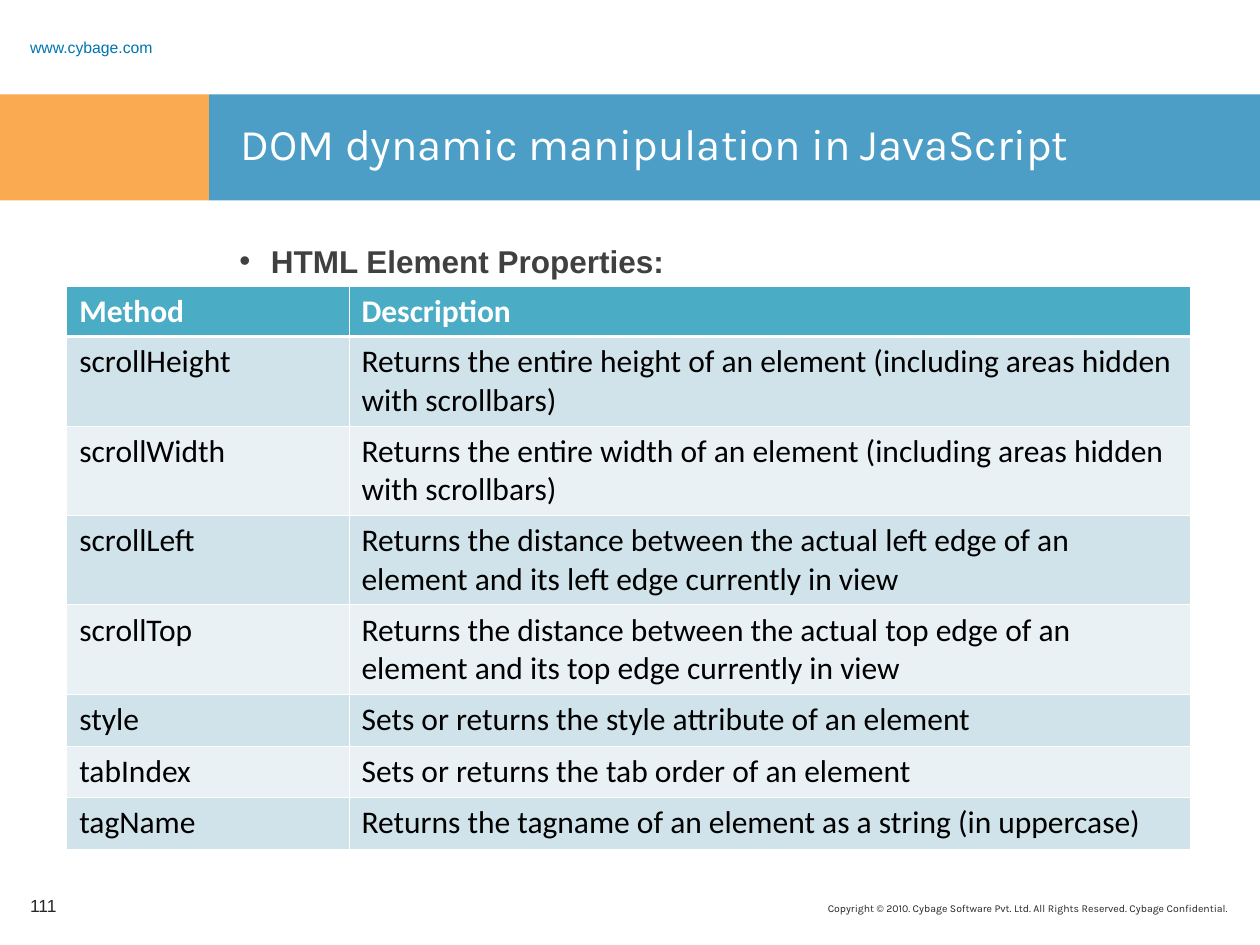
from lxml import etree
from pptx import Presentation
from pptx.dml.color import RGBColor
from pptx.enum.shapes import MSO_SHAPE
from pptx.enum.text import MSO_ANCHOR, MSO_AUTO_SIZE, PP_ALIGN
from pptx.oxml.ns import qn
from pptx.util import Inches, Pt

RECTANGLE = MSO_SHAPE.RECTANGLE
TOP, MIDDLE = MSO_ANCHOR.TOP, MSO_ANCHOR.MIDDLE
NO_FIT = MSO_AUTO_SIZE.NONE
LEFT, RIGHT = PP_ALIGN.LEFT, PP_ALIGN.RIGHT

UNIT = Inches(0.1)
COLOURS = {
    "orange": "F88608", "blue": "0075B0", "white": "FFFFFF", "black": "000000",
    "ink": "262626", "grey": "404040",
    "header": "4BACC6", "odd": "D0E3EA", "even": "E9F1F5",
}
PROPERTIES = [
    ("Method", "Description"),
    ("scrollHeight", "Returns the entire height of an element (including areas hidden with scrollbars)"),
    ("scrollWidth", "Returns the entire width of an element (including areas hidden with scrollbars)"),
    ("scrollLeft", "Returns the distance between the actual left edge of an element and its left edge currently in view"),
    ("scrollTop", "Returns the distance between the actual top edge of an element and its top edge currently in view"),
    ("style", "Sets or returns the style attribute of an element"),
    ("tabIndex", "Sets or returns the tab order of an element"),
    ("tagName", "Returns the tagname of an element as a string (in uppercase)"),
]
TALL_ROWS = range(1, 5)


def colour(name):
    """Look up a named colour."""
    return RGBColor.from_string(COLOURS[name])


def grid(*cells):
    """Turn grid columns and rows into lengths."""
    return [round(cell * UNIT) for cell in cells]


def write(frame, wording, font, size, ink, bold=False, align=LEFT):
    """Write one formatted run in the first paragraph and return the paragraph."""
    paragraph = frame.paragraphs[0]
    paragraph.alignment = align
    run = paragraph.add_run()
    run.text = wording
    run.font.name = font
    run.font.size = Pt(size)
    run.font.bold = bold
    run.font.color.rgb = colour(ink)
    return paragraph


def add_label(slide, box, wording, font, size, ink, align=LEFT, anchor=TOP):
    """Add a wrapped line of text and return its paragraph."""
    frame = slide.shapes.add_textbox(*grid(*box)).text_frame
    frame.word_wrap = True
    frame.vertical_anchor = anchor
    return write(frame, wording, font, size, ink, align=align)


def add_band(slide, box, shade):
    """Add a translucent band behind the title."""
    band = slide.shapes.add_shape(RECTANGLE, *grid(*box))
    band.shadow.inherit = False
    band.fill.solid()
    band.fill.fore_color.rgb = colour(shade)
    band.line.fill.background()
    shade_element = band._element.spPr.find(qn("a:solidFill"))[0]
    etree.SubElement(shade_element, qn("a:alpha"), val="70000")
    slide.shapes.title._element.addprevious(band._element)


def fit_placeholder(placeholder, box):
    """Move a placeholder into its box and return its text frame."""
    placeholder.left, placeholder.top, placeholder.width, placeholder.height = grid(*box)
    frame = placeholder.text_frame
    frame.word_wrap = True
    frame.auto_size = NO_FIT
    frame.vertical_anchor = TOP
    return frame


def add_title(slide, box):
    """Place the slide title."""
    frame = fit_placeholder(slide.shapes.title, box)
    write(frame, "DOM dynamic manipulation in JavaScript", "Karla", 25, "white")


def add_heading(slide, box):
    """Place the bulleted heading of the table."""
    frame = fit_placeholder(slide.placeholders[1], box)
    properties = frame.paragraphs[0]._p.get_or_add_pPr()
    properties.set("marL", str(Inches(0.25)))
    properties.set("indent", str(-Inches(0.25)))
    bullet_colour = etree.SubElement(properties, qn("a:buClr"))
    etree.SubElement(bullet_colour, qn("a:srgbClr"), val=COLOURS["grey"])
    etree.SubElement(properties, qn("a:buChar"), char="•")
    heading = write(frame, "HTML Element Properties:", "Arial", 18, "grey", bold=True)
    heading.space_before = Pt(0)


def add_borders(cell, row):
    """Draw white cell borders, heavier under the header."""
    properties = cell._tc.get_or_add_tcPr()
    heavy = {0: "B", 1: "T"}.get(row)
    for side in "LRTB":
        width = Pt(1.47 if side == heavy else 0.45)
        border = etree.SubElement(properties, qn(f"a:ln{side}"), w=str(width))
        fill = etree.SubElement(border, qn("a:solidFill"))
        etree.SubElement(fill, qn("a:srgbClr"), val=COLOURS["white"])


def add_property_table(slide, box, name_width):
    """Place the table of element properties."""
    table = slide.shapes.add_table(len(PROPERTIES), 2, *grid(*box)).table
    table.columns[0].width, table.columns[1].width = grid(name_width, box[2] - name_width)
    for row, entries in enumerate(PROPERTIES):
        table.rows[row].height = Inches(0.71 if row in TALL_ROWS else 0.4 if row == 0 else 0.41)
        is_header = row == 0
        band = "header" if is_header else ("even", "odd")[row % 2]
        for column, entry in enumerate(entries):
            cell = table.cell(row, column)
            add_borders(cell, row)
            cell.fill.solid()
            cell.fill.fore_color.rgb = colour(band)
            write(cell.text_frame, entry, "Calibri", 18, "white" if is_header else "black", bold=is_header)


def build():
    """Build and save the slide."""
    deck = Presentation()
    deck.slide_width, deck.slide_height = grid(100, 75)
    slide = deck.slides.add_slide(deck.slide_layouts[1])
    add_label(slide, (40.8, 71.1, 57.6, 2.6),
              "Copyright © 2010. Cybage Software Pvt. Ltd. All Rights Reserved. Cybage Confidential.",
              "Karla", 6, "ink", align=RIGHT)
    add_band(slide, (0, 7.5, 16.6, 8.4), "orange")
    add_band(slide, (16.6, 7.5, 83.4, 8.4), "blue")
    address = add_label(slide, (1.4, 2.4, 15, 1.9), "www.cybage.com", "Arial", 9, "blue", anchor=MIDDLE)
    address.line_spacing = 1.5
    add_title(slide, (18.1, 8.8, 79.4, 6.2))
    add_heading(slide, (18, 18.7, 79.5, 39.5))
    add_label(slide, (1.4, 69.9, 5.4, 4), "111", "Arial", 10, "ink", anchor=MIDDLE)
    add_property_table(slide, (5.3, 22.7, 89.2, 44.7), 22.4)
    deck.save("out.pptx")


if __name__ == "__main__":
    build()
